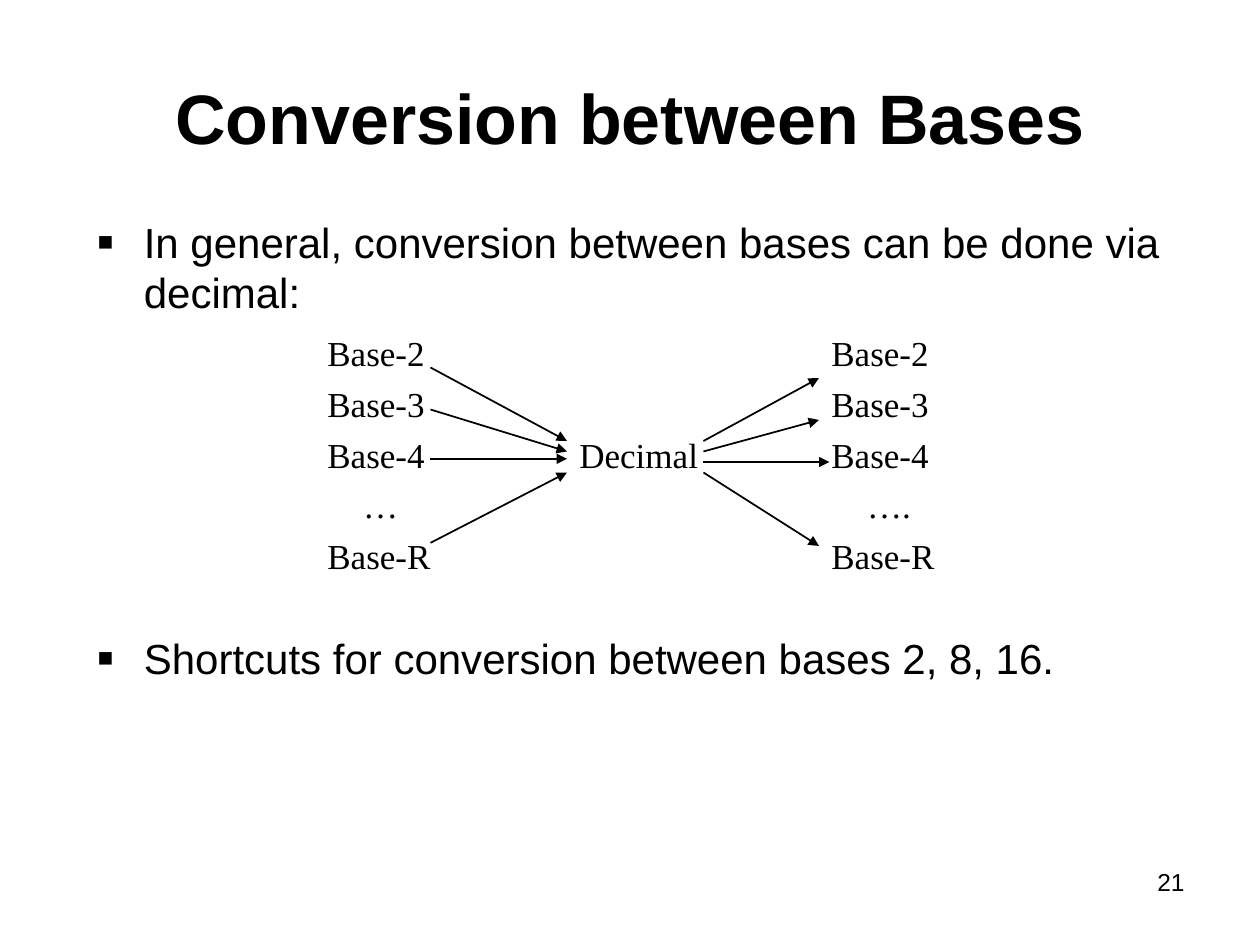
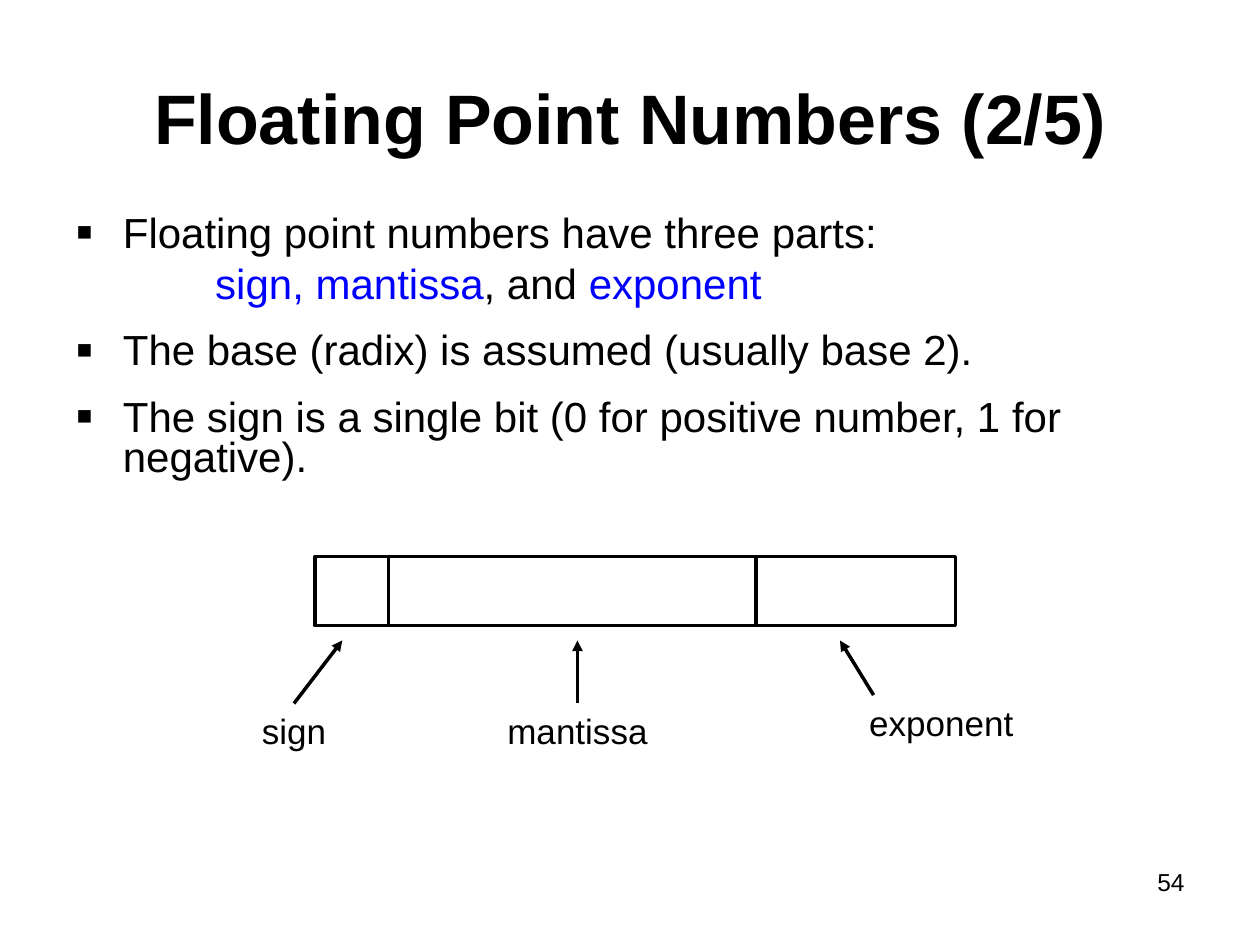
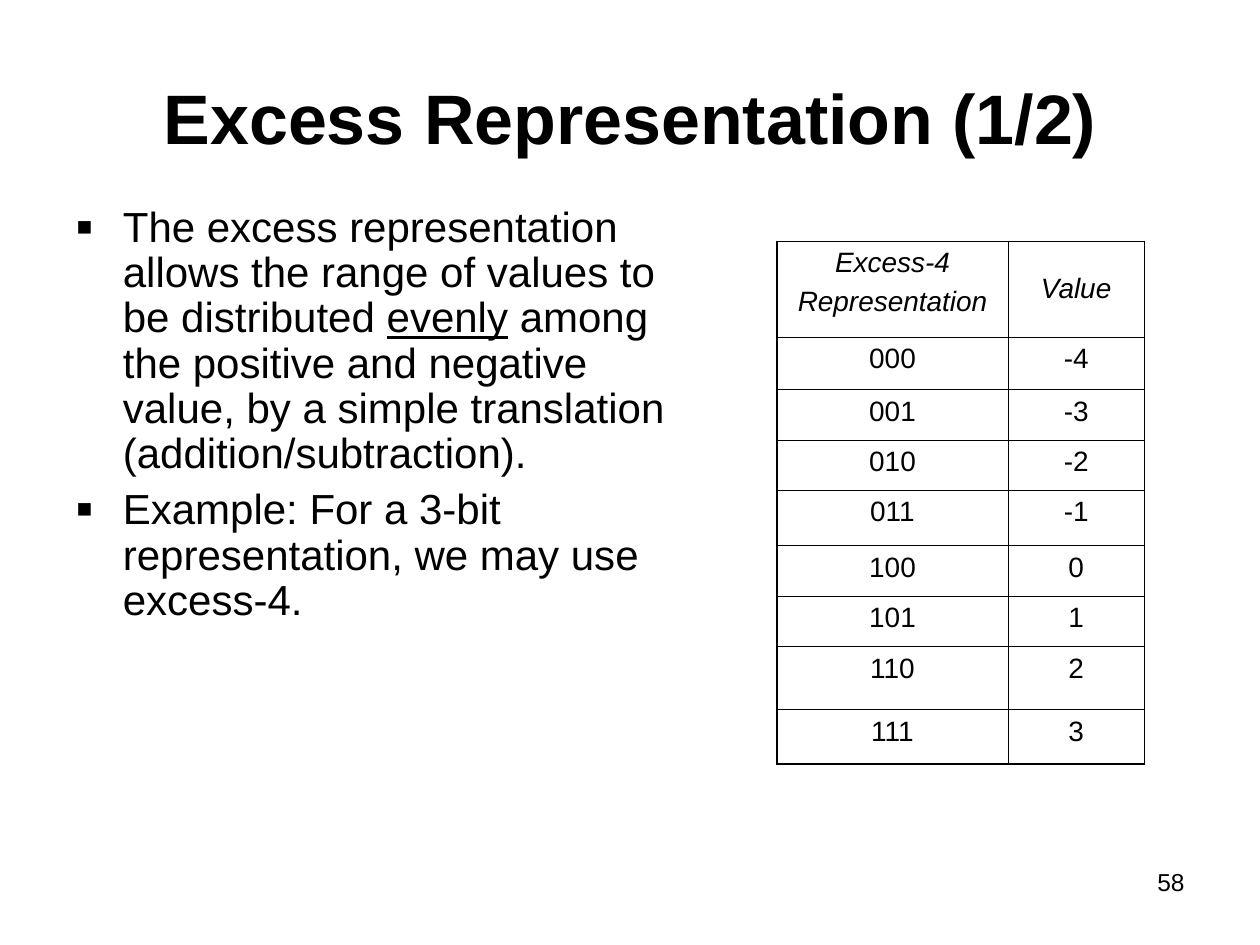
from dataclasses import dataclass
from typing import NamedTuple

from lxml import etree
from pptx import Presentation
from pptx.dml.color import RGBColor
from pptx.enum.shapes import MSO_CONNECTOR, MSO_SHAPE
from pptx.enum.text import MSO_ANCHOR, MSO_AUTO_SIZE, PP_ALIGN
from pptx.oxml.ns import qn
from pptx.util import Inches, Pt

LEFT, CENTER, RIGHT = PP_ALIGN.LEFT, PP_ALIGN.CENTER, PP_ALIGN.RIGHT
TOP, MIDDLE = MSO_ANCHOR.TOP, MSO_ANCHOR.MIDDLE
NO_FIT = MSO_AUTO_SIZE.NONE
RECTANGLE, STRAIGHT = MSO_SHAPE.RECTANGLE, MSO_CONNECTOR.STRAIGHT
TITLE_AND_CONTENT = 1
TOP_SIDE = 0


@dataclass(frozen=True)
class Theme:
    ink: str = "000000"
    accent: str = "0000FF"
    sans: str = "Arial"
    serif: str = "Times New Roman"
    title: int = 40
    body: int = 24
    label: int = 20
    cell: int = 16
    number: int = 14
    thin: float = 1
    thick: float = 2
    outer_border: float = 1.08
    inner_border: float = 0.45


THEME = Theme()


class Box(NamedTuple):
    """Position and size in grid units, twelve to the inch."""
    left: float
    top: float
    width: float
    height: float


class Arrow(NamedTuple):
    x1: float
    y1: float
    x2: float
    y2: float


class Span(NamedTuple):
    text: str
    color: str = THEME.ink
    underline: bool = False


class Item(NamedTuple):
    spans: list[Span]
    before: float = 6
    bullet: bool = True


class Part(NamedTuple):
    """One field of a floating point number with its label and arrow."""
    name: str
    width: float
    label: Box
    arrow: Arrow
    joined: bool


TITLE_BOX = Box(6, 3.6, 108, 15)
NUMBER_BOX = Box(86, 82, 28, 6.2)
HANGING = 4.5
SUBLINE_INDENT = 13.3

BASES_BOX = Box(30, 31, 63.6, 24.6)
COLUMN_STOPS = (24, 48)
ELLIPSIS_STOPS = (3.4, 51.4)
BASE_ROWS = [
    ("Base-2\t\tBase-2", COLUMN_STOPS),
    ("Base-3\t\tBase-3", COLUMN_STOPS),
    ("Base-4\tDecimal\tBase-4", COLUMN_STOPS),
    ("\t…\t….", ELLIPSIS_STOPS),
    ("Base-R\t\tBase-R", COLUMN_STOPS),
]
BASE_ARROWS = [
    Arrow(41, 35, 54, 42),
    Arrow(41, 39, 54, 43),
    Arrow(41, 43.7, 54, 43.7),
    Arrow(41, 51.7, 54, 45),
    Arrow(67, 42, 78, 36),
    Arrow(67, 43, 78, 40),
    Arrow(67, 44, 79, 44),
    Arrow(67, 45, 78, 52),
]

FIELDS_LEFT, FIELDS_TOP, FIELDS_HEIGHT = 30, 53, 6.6
PARTS = [
    Part("sign", 7, Box(23, 67, 10, 5.3), Arrow(28, 67, 32.6, 61), True),
    Part("mantissa", 35, Box(45.2, 67, 19.6, 5.3), Arrow(55, 67, 55, 61), True),
    Part("exponent", 19, Box(79.4, 66.2, 20.5, 5.3), Arrow(83.2, 66.2, 80, 61), False),
]

TABLE_LEFT, TABLE_TOP = 74, 23
TABLE_COLUMNS = (22, 13)
TABLE_ROWS = (9.1, 5, 4.8, 4.8, 5.3, 4.8, 4.8, 6, 5.2)
EXCESS = 4
EXCESS_ROWS = [("Excess-4\nRepresentation", "Value")] + [
    (f"{code:03b}", str(code - EXCESS)) for code in range(2 * EXCESS)
]


def units(n: float) -> int:
    return Inches(n / 12)


def emu(box) -> list[int]:
    return [units(n) for n in box]


def rgb(color: str) -> RGBColor:
    return RGBColor.from_string(color)


def add_xml(parent, tag: str, **attributes):
    return etree.SubElement(parent, qn(tag), attributes)


def style(p, size: float, font: str = THEME.sans, align=LEFT, before: float = 0,
          bold: bool = False, italic: bool = False) -> None:
    p.alignment = align
    p.space_before = Pt(before)
    p.font.name, p.font.size = font, Pt(size)
    p.font.bold, p.font.italic = bold, italic
    p.font.color.rgb = rgb(THEME.ink)


def add_label(slide, box: Box, text: str, size: float, **paragraph_style):
    sp = slide.shapes.add_textbox(*emu(box))
    sp.text_frame.word_wrap = True
    sp.text_frame.text = text
    for p in sp.text_frame.paragraphs:
        style(p, size, **paragraph_style)
    return sp


def add_arrow(slide, arrow: Arrow, width: float):
    line = slide.shapes.add_connector(STRAIGHT, *emu(arrow))
    line.line.color.rgb = rgb(THEME.ink)
    line.line.width = Pt(width)
    add_xml(line.line._get_or_add_ln(), "a:tailEnd", type="triangle")
    add_xml(line._element.spPr, "a:effectLst")
    return line


def set_marker(p, bullet: bool) -> None:
    pPr = p._p.get_or_add_pPr()
    pPr.set("marL", str(units(HANGING if bullet else SUBLINE_INDENT)))
    pPr.set("indent", str(-units(HANGING) if bullet else 0))
    if not bullet:
        add_xml(pPr, "a:buNone")
        return
    add_xml(add_xml(pPr, "a:buClr"), "a:srgbClr", val=THEME.ink)
    add_xml(pPr, "a:buSzPct", val="120000")
    add_xml(pPr, "a:buFont", typeface=THEME.sans)
    add_xml(pPr, "a:buChar", char="▪")


def place(sp, box: Box) -> None:
    sp.left, sp.top, sp.width, sp.height = emu(box)
    sp.text_frame.auto_size = NO_FIT


def fill_body(sp, box: Box, items: list[Item], line_spacing: float) -> None:
    place(sp, box)
    tf = sp.text_frame
    tf.vertical_anchor = TOP
    for i, item in enumerate(items):
        p = tf.add_paragraph() if i else tf.paragraphs[0]
        set_marker(p, item.bullet)
        style(p, THEME.body, before=item.before)
        p.line_spacing = line_spacing
        for span in item.spans:
            r = p.add_run()
            r.text = span.text
            if span.color != THEME.ink:
                r.font.color.rgb = rgb(span.color)
            if span.underline:
                r.font.underline = True


def add_slide(prs, title: str, number: int, body_box: Box, items: list[Item],
              line_spacing: float = 1.0):
    slide = prs.slides.add_slide(prs.slide_layouts[TITLE_AND_CONTENT])
    sp = slide.shapes.title
    place(sp, TITLE_BOX)
    sp.text_frame.vertical_anchor = MIDDLE
    sp.text_frame.text = title
    style(sp.text_frame.paragraphs[0], THEME.title, align=CENTER, bold=True)
    fill_body(slide.placeholders[1], body_box, items, line_spacing)
    add_label(slide, NUMBER_BOX, str(number), THEME.number, align=RIGHT)
    return slide


def draw_base_diagram(slide) -> None:
    text = "\n".join(row for row, _ in BASE_ROWS)
    sp = add_label(slide, BASES_BOX, text, THEME.label, font=THEME.serif, before=5)
    for p, (_, stops) in zip(sp.text_frame.paragraphs, BASE_ROWS):
        tabs = etree.Element(qn("a:tabLst"))
        for stop in stops:
            add_xml(tabs, "a:tab", pos=str(units(stop)), algn="l")
        p._p.pPr.find(qn("a:defRPr")).addprevious(tabs)
    for arrow in BASE_ARROWS:
        add_arrow(slide, arrow, THEME.thin)


def draw_number_fields(slide) -> None:
    left = FIELDS_LEFT
    for part in PARTS:
        field = Box(left, FIELDS_TOP, part.width, FIELDS_HEIGHT)
        sp = slide.shapes.add_shape(RECTANGLE, *emu(field))
        sp.shadow.inherit = False
        sp.fill.background()
        sp.line.color.rgb = rgb(THEME.ink)
        sp.line.width = Pt(THEME.thick)
        left += part.width
        label = add_label(slide, part.label, part.name, THEME.label,
                          align=CENTER, before=12.5)
        arrow = add_arrow(slide, part.arrow, THEME.thick)
        if part.joined:
            arrow.begin_connect(label, TOP_SIDE)


def set_borders(cell, outer_sides: dict[str, bool]) -> None:
    """Draw the four sides, heavier where the side is on the table's edge."""
    tcPr = cell._tc.get_or_add_tcPr()
    for side, is_outer in outer_sides.items():
        width = THEME.outer_border if is_outer else THEME.inner_border
        ln = add_xml(tcPr, f"a:{side}", w=str(Pt(width)))
        add_xml(add_xml(ln, "a:solidFill"), "a:srgbClr", val=THEME.ink)


def draw_excess_table(slide) -> None:
    n_rows, n_cols = len(TABLE_ROWS), len(TABLE_COLUMNS)
    box = Box(TABLE_LEFT, TABLE_TOP, sum(TABLE_COLUMNS), sum(TABLE_ROWS))
    table = slide.shapes.add_table(n_rows, n_cols, *emu(box)).table
    table.first_row = table.horz_banding = False
    for column, width in zip(table.columns, TABLE_COLUMNS):
        column.width = units(width)
    for i, (height, texts) in enumerate(zip(TABLE_ROWS, EXCESS_ROWS)):
        table.rows[i].height = units(height)
        for j, text in enumerate(texts):
            cell = table.cell(i, j)
            cell.text_frame.text = text
            cell.vertical_anchor = MIDDLE if text == "Value" else TOP
            for p in cell.text_frame.paragraphs:
                style(p, THEME.cell, align=CENTER, before=4, italic=i == 0)
            set_borders(cell, {"lnL": j == 0, "lnR": j == n_cols - 1,
                               "lnT": i == 0, "lnB": i == n_rows - 1})
            cell.fill.background()


def main() -> None:
    prs = Presentation()
    prs.slide_width, prs.slide_height = Inches(10), Inches(7.5)

    slide = add_slide(prs, "Conversion between Bases", 21, Box(8, 20, 105, 52), [
        Item([Span("In general, conversion between bases can be done via decimal:")]),
        Item([Span("Shortcuts for conversion between bases 2, 8, 16.")], before=180),
    ])
    draw_base_diagram(slide)

    slide = add_slide(prs, "Floating Point Numbers (2/5)", 54, Box(6, 20, 109, 29.6), [
        Item([Span("Floating point numbers have three parts:")]),
        Item([Span("sign, mantissa", THEME.accent), Span(", and "),
              Span("exponent", THEME.accent)], bullet=False),
        Item([Span("The base (radix) is assumed (usually base 2).")], before=15),
        Item([Span("The sign is a single bit (0 for positive number, 1 for negative).")],
             before=15),
    ], line_spacing=0.8)
    draw_number_fields(slide)

    slide = add_slide(prs, "Excess Representation (1/2)", 58, Box(6, 19, 61, 45), [
        Item([Span("The excess representation allows the range of values to be distributed "),
              Span("evenly", underline=True),
              Span(" among the positive and negative value, by a simple translation "
                   "(addition/subtraction).")]),
        Item([Span("Example: For a 3-bit representation, we may use excess-4.")]),
    ], line_spacing=0.9)
    draw_excess_table(slide)

    prs.save("out.pptx")


if __name__ == "__main__":
    main()
